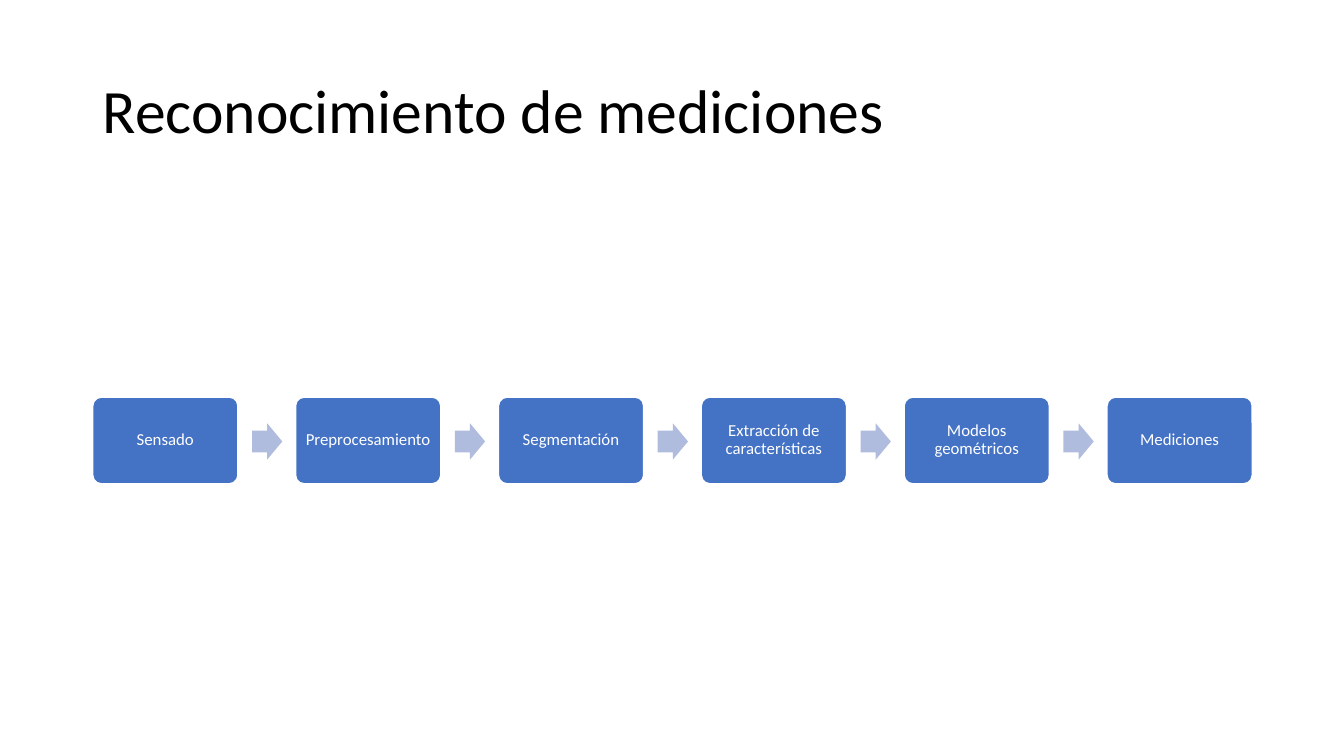
from dataclasses import dataclass
from typing import Any

from pptx import Presentation
from pptx.dml.color import RGBColor as RGB
from pptx.enum.shapes import MSO_SHAPE as Kind
from pptx.enum.text import MSO_ANCHOR as Anchor, PP_ALIGN as Align
from pptx.util import Inches, Pt


@dataclass(frozen=True)
class Theme:
    font: str = "Calibri"
    ink: RGB = RGB(0x00, 0x00, 0x00)
    paper: RGB = RGB(0xFF, 0xFF, 0xFF)
    step: RGB = RGB(0x44, 0x72, 0xC4)
    arrow: RGB = RGB(0xB0, 0xBC, 0xDE)
    title: Pt = Pt(44)
    label: Pt = Pt(12)
    edge: Pt = Pt(1)


@dataclass(frozen=True)
class Box:
    left: float
    top: float
    width: float
    height: float

    def place(self) -> list[Inches]:
        return [Inches(n) for n in (self.left, self.top, self.width, self.height)]


@dataclass(frozen=True)
class Step:
    text: str
    box: Box


THEME = Theme()
TITLE = Box(0.92, 0.4, 11.5, 1.45)
FIRST = Box(0.92, 3.94, 1.44, 0.86)
ARROW = Box(2.5, 4.2, 0.3, 0.36)
LABELS = [
    "Sensado",
    "Preprocesamiento",
    "Segmentación",
    "Extracción de características",
    "Modelos geométricos",
    "Mediciones",
]
PITCH = (TITLE.width - FIRST.width) / (len(LABELS) - 1)


def apply(target: Any, values: dict[str, Any]) -> None:
    for name, value in values.items():
        setattr(target, name, value)


def shift(box: Box, count: int) -> Box:
    """Move a box right by a number of steps."""
    return Box(box.left + count * PITCH, box.top, box.width, box.height)


def write(shape: Any, text: str, size: Pt, ink: RGB, align: Align, pads: dict[str, Any]) -> None:
    frame = shape.text_frame
    apply(frame, {"word_wrap": True, "vertical_anchor": Anchor.MIDDLE, **pads})
    para = frame.paragraphs[0]
    apply(para, {"text": text, "alignment": align, "line_spacing": 0.9})
    font = para.runs[0].font
    apply(font, {"name": THEME.font, "size": size})
    font.color.rgb = ink


def draw(slide: Any, kind: Kind, box: Box, fill: RGB, bends: list[float]) -> Any:
    """Add a flat filled shape; bends are its adjustment values."""
    shape = slide.shapes.add_shape(kind, *box.place())
    shape.shadow.inherit = False
    shape.fill.solid()
    shape.fill.fore_color.rgb = fill
    shape.line.fill.background()
    for spot, bend in enumerate(bends):
        shape.adjustments[spot] = bend
    return shape


def add_title(slide: Any) -> None:
    shape = slide.shapes.add_textbox(*TITLE.place())
    write(shape, "Reconocimiento de mediciones", THEME.title, THEME.ink, Align.LEFT, {})


def add_step(slide: Any, step: Step) -> None:
    shape = draw(slide, Kind.ROUNDED_RECTANGLE, step.box, THEME.step, [0.1])
    shape.line.color.rgb = THEME.paper
    shape.line.width = THEME.edge
    pads = {f"margin_{side}": Inches(0.05) for side in ("left", "top", "right", "bottom")}
    write(shape, step.text, THEME.label, THEME.paper, Align.CENTER, pads)


def main() -> None:
    deck = Presentation()
    apply(deck, {"slide_width": Inches(13.33), "slide_height": Inches(7.5)})
    slide = deck.slides.add_slide(deck.slide_layouts[6])
    add_title(slide)
    steps = [Step(text, shift(FIRST, count)) for count, text in enumerate(LABELS)]
    for count, step in enumerate(steps):
        if count:
            draw(slide, Kind.RIGHT_ARROW, shift(ARROW, count - 1), THEME.arrow, [0.6, 0.5])
        add_step(slide, step)
    deck.save("out.pptx")


if __name__ == "__main__":
    main()
